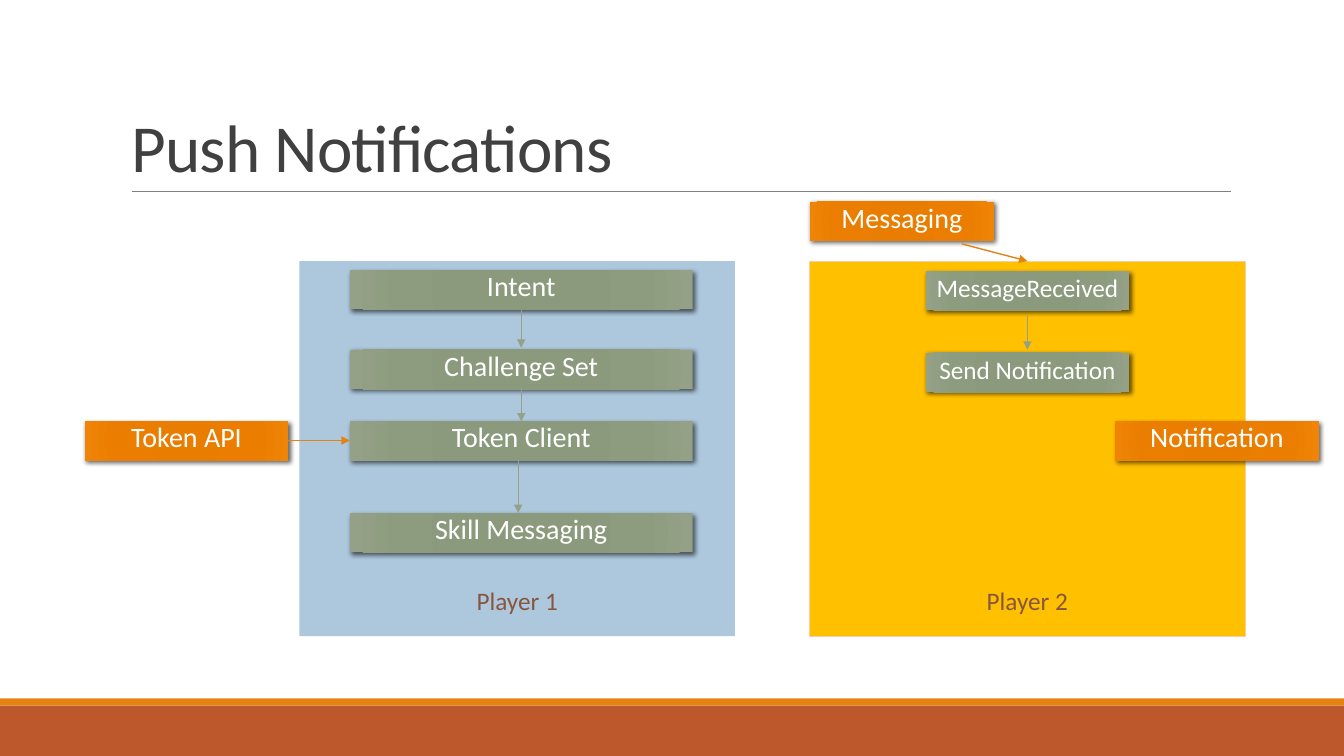
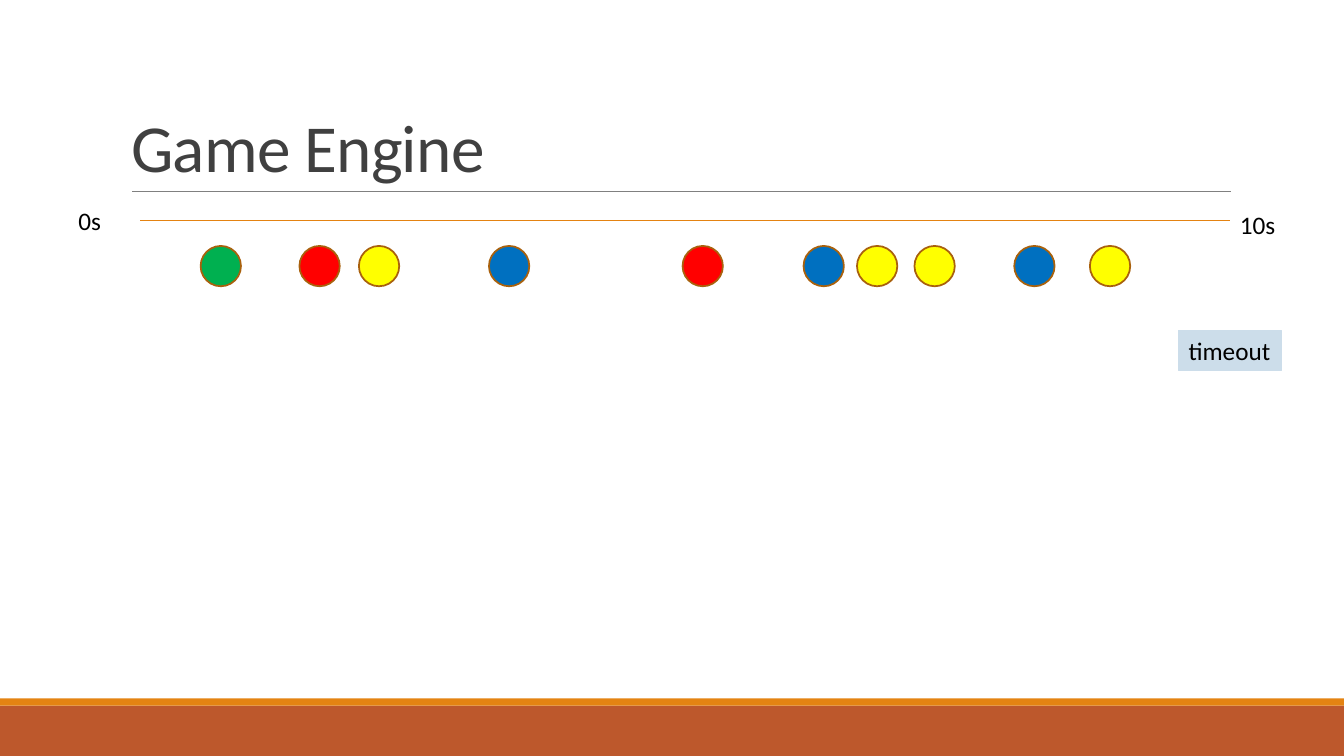
from pptx import Presentation
from pptx import util as u
from pptx.dml.color import RGBColor
from pptx.enum import shapes, text
from pptx.oxml import parse_xml
from pptx.oxml.ns import nsdecls, qn
from lxml import etree

PX = 9144  # 100 px to the inch
FONT = "Calibri"
HUES = {
    "rust": "BD582C", "orange": "E48312", "rule": "808080", "title": "404040",
    "gold": "FFC000", "edge": "F7CE9D", "sky": "ADC8DD", "brown": "865640",
    "sage": "94A088", "white": "FFFFFF", "black": "000000", "pale": "CCDDEA",
    "ring": "A9610D", "green": "00B050", "red": "FF0000", "blue": "0070C0",
    "yellow": "FFFF00",
}
# Gradient stops: position in percent, colour
GRADS = {
    "sage": [(0, "8A987B"), (34, "8B997D"), (70, "8D9C7E"), (100, "94A187")],
    "orange": [(0, "E57B00"), (34, "E87D00"), (70, "EB7E00"), (100, "EF8407")],
}
OVAL = shapes.MSO_SHAPE.OVAL
CENTER = text.PP_ALIGN.CENTER


def px(*vals):
    return [u.Emu(v * PX) for v in vals]


def rgb(hue):
    return RGBColor.from_string(HUES[hue])


def write(shape, words, size, hue, align=None, space=None):
    """Fill a shape with one paragraph and return that paragraph."""
    shape.text_frame.text = words
    para = shape.text_frame.paragraphs[0]
    para.alignment = align
    para.line_spacing = space
    para.font.name = FONT
    para.font.size = u.Pt(size)
    para.font.color.rgb = rgb(hue)
    return para


def block(slide, at, fill, line=None, width=0.75, kind=shapes.MSO_SHAPE.RECTANGLE):
    shape = slide.shapes.add_shape(kind, *px(*at))
    shape.shadow.inherit = False
    shape.fill.solid()
    shape.fill.fore_color.rgb = rgb(fill)
    if line:
        shape.line.color.rgb = rgb(line)
        shape.line.width = u.Pt(width)
    else:
        shape.line.fill.background()
    return shape


def link(slide, ends, hue, width=1, head=True):
    wire = slide.shapes.add_connector(shapes.MSO_CONNECTOR.STRAIGHT, *px(*ends))
    wire.line.color.rgb = rgb(hue)
    wire.line.width = u.Pt(width)
    props = wire._element.spPr
    if head:
        etree.SubElement(props.find(qn("a:ln")), qn("a:tailEnd"), type="triangle")
    etree.SubElement(props, qn("a:effectLst"))


def glow(shape, hue):
    """Give a shape a radial gradient and a soft shadow."""
    props = shape._element.spPr
    stops = "".join(
        f'<a:gs pos="{pos * 1000}"><a:srgbClr val="{val}"/></a:gs>'
        for pos, val in GRADS[hue])
    grad = parse_xml(
        f'<a:gradFill {nsdecls("a")} rotWithShape="1"><a:gsLst>{stops}</a:gsLst>'
        '<a:path path="circle"><a:fillToRect l="100000" t="100000" '
        'r="100000" b="100000"/></a:path></a:gradFill>')
    props.replace(props.find(qn("a:solidFill")), grad)
    props.find(qn("a:effectLst")).append(parse_xml(
        f'<a:outerShdw {nsdecls("a")} blurRad="44450" dist="25400" dir="2700000" '
        'algn="br" rotWithShape="0"><a:srgbClr val="000000">'
        '<a:alpha val="60000"/></a:srgbClr></a:outerShdw>'))


def step(slide, words, left, top, wide, hue, size=20, space=0.8):
    shape = block(slide, (left, top, wide, 39), hue)
    glow(shape, hue)
    frame = shape.text_frame
    frame.margin_left = frame.margin_right = 0
    frame.vertical_anchor = text.MSO_ANCHOR.TOP
    para = write(shape, words, size, "white", CENTER, space)
    para.space_before, para.space_after = u.Pt(12), u.Pt(2)


def panel(slide, words, left, fill, line=None):
    shape = block(slide, (left, 259, 432, 372), fill, line)
    shape.text_frame.vertical_anchor = text.MSO_ANCHOR.BOTTOM
    shape.text_frame.margin_bottom = px(20)[0]
    write(shape, words, 18, "brown", CENTER)


def label(slide, words, at, fill=None):
    box = slide.shapes.add_textbox(*px(*at))
    if fill:
        box.fill.solid()
        box.fill.fore_color.rgb = box.line.color.rgb = rgb(fill)
        box.line.width = u.Pt(0.75)
    box.text_frame.word_wrap = False
    box.text_frame.auto_size = text.MSO_AUTO_SIZE.SHAPE_TO_FIT_TEXT
    write(box, words, 18, "black")


def base(prs, words):
    """Add a slide with the shared bands, rule and title."""
    slide = prs.slides.add_slide(prs.slide_layouts[5])
    block(slide, (0, 700, 1333, 50), "rust")
    block(slide, (0, 693, 1333, 7), "orange")
    link(slide, (131, 190, 1221, 190), "rule", 0.5, head=False)
    title = slide.shapes.title
    title.left, title.top, title.width, title.height = px(120, 31, 1100, 159)
    title.text_frame.auto_size = text.MSO_AUTO_SIZE.NONE
    title.text_frame.vertical_anchor = text.MSO_ANCHOR.BOTTOM
    para = write(title, words, 48, "title", text.PP_ALIGN.LEFT, 0.85)
    para.font._element.set("spc", "-50")
    return slide


def push(prs):
    slide = base(prs, "Push Notifications")
    panel(slide, "Player 2", 803, "gold", "edge")
    panel(slide, "Player 1", 297, "sky")

    # Steps inside the panels
    for words, top in (("Intent", 268), ("Challenge Set", 347),
                       ("Token Client", 418), ("Skill Messaging", 509)):
        step(slide, words, 347, top, 340, "sage")
    for words, top in (("MessageReceived", 269), ("Send Notification", 350)):
        step(slide, words, 918, top, 202, "sage", 18, 0.9)

    # Outside services
    for words, left, top, wide in (("Token API", 84, 418, 202),
                                   ("Messaging", 803, 200, 183),
                                   ("Notification", 1106, 418, 202)):
        step(slide, words, left, top, wide, "orange")

    # Arrows
    for mid, top, end in ((517, 308, 345), (517, 385, 418),
                          (514, 456, 509), (1019, 314, 347)):
        link(slide, (mid, top, mid, end), "sage")
    for ends in ((286, 437, 347, 437), (954, 242, 1019, 259)):
        link(slide, ends, "orange")


def game(prs):
    slide = base(prs, "Game Engine")

    # Time line
    link(slide, (139, 219, 1220, 219), "orange", head=False)
    label(slide, "0s", (68, 199, 43, 40))
    label(slide, "10s", (1220, 203, 56, 40))

    # Button presses
    for left, hue in ((199, "green"), (297, "red"), (356, "yellow"),
                      (485, "blue"), (677, "red"), (797, "blue"),
                      (850, "yellow"), (907, "yellow"), (1006, "blue"),
                      (1081, "yellow")):
        block(slide, (left, 244, 40, 40), hue, "ring", 1.25, OVAL)
    label(slide, "timeout", (1169, 328, 102, 40), "pale")


def main():
    prs = Presentation()
    prs.slide_width, prs.slide_height = u.Inches(13.33), u.Inches(7.5)
    push(prs)
    game(prs)
    prs.save("out.pptx")


if __name__ == "__main__":
    main()
